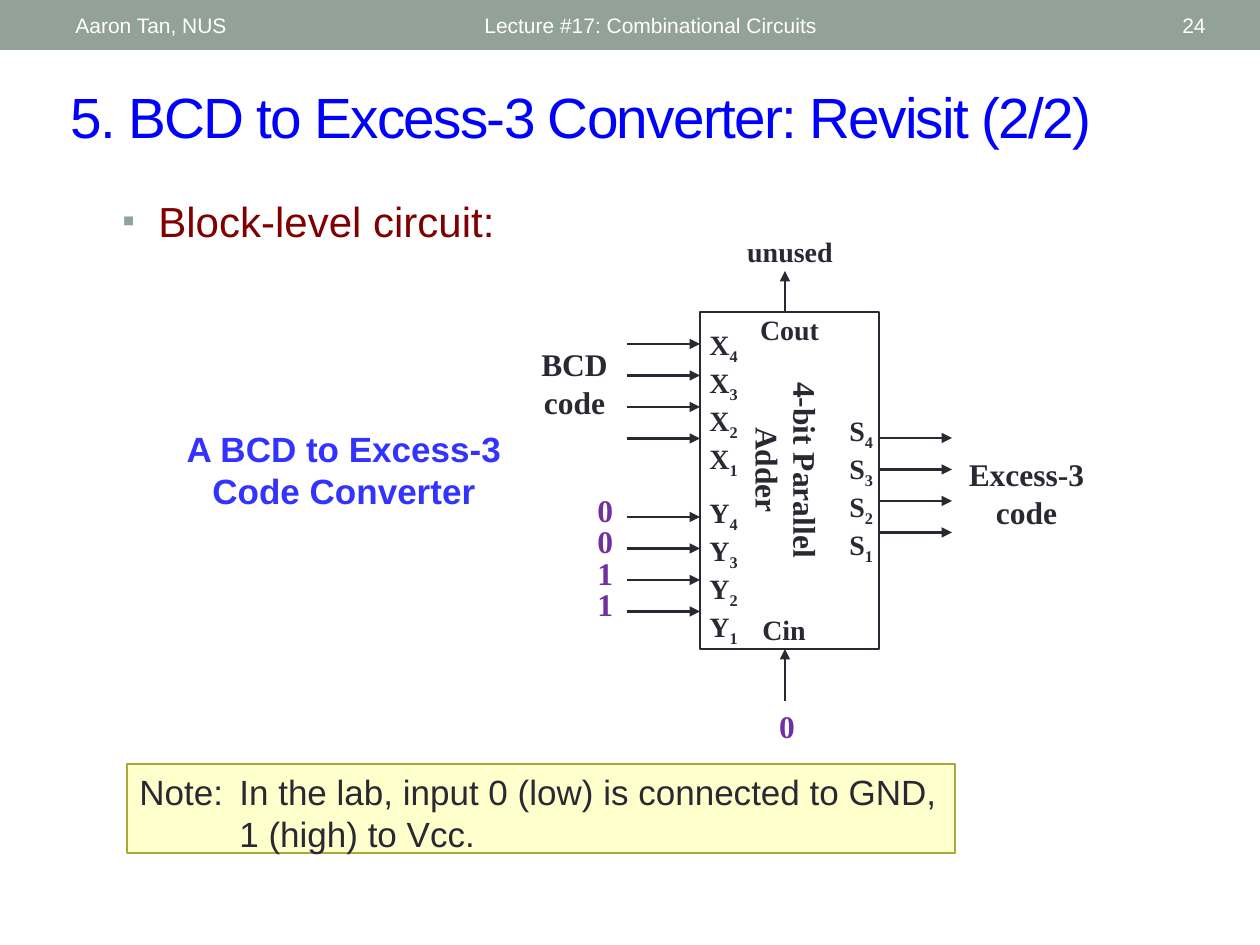
from dataclasses import dataclass

from lxml import etree
from pptx import Presentation
from pptx.dml.color import RGBColor
from pptx.enum.shapes import MSO_CONNECTOR, MSO_SHAPE
from pptx.enum.text import MSO_ANCHOR, PP_ALIGN
from pptx.oxml.ns import qn
from pptx.util import Emu, Pt

RECT = MSO_SHAPE.RECTANGLE
STRAIGHT = MSO_CONNECTOR.STRAIGHT
TOP, MIDDLE = MSO_ANCHOR.TOP, MSO_ANCHOR.MIDDLE
LEFT, CENTER, RIGHT = PP_ALIGN.LEFT, PP_ALIGN.CENTER, PP_ALIGN.RIGHT

EMU_PER_PX = 914400 / 126
SANS, SERIF = "Arial", "Times New Roman"
SAGE, WHITE, INK, PURPLE = "93A299", "FFFFFF", "292934", "7030A0"


@dataclass
class Label:
    x: int
    y: int
    w: int
    h: int
    lines: list[str]
    size: float
    color: str = INK
    font: str = SERIF
    bold: bool = True
    align: PP_ALIGN = CENTER
    anchor: MSO_ANCHOR = TOP
    rotation: int = 0
    hanging: int = 0
    bullet: str = ""
    tracking: int = 0
    leading: int = 0


@dataclass
class ArrowRow:
    x1: int
    x2: int
    y: int


def px(n: float) -> Emu:
    return Emu(round(n * EMU_PER_PX))


def rgb(color: str) -> RGBColor:
    return RGBColor.from_string(color)


def add_run(p, text: str, label: Label, baseline: int = 0) -> None:
    r = p.add_run()
    r.text = text
    values = {"name": label.font, "size": Pt(label.size), "bold": label.bold}
    for name, value in values.items():
        setattr(r.font, name, value)
    r.font.color.rgb = rgb(label.color)
    for name, value in {"baseline": baseline, "spc": label.tracking}.items():
        if value:
            r._r.get_or_add_rPr().set(name, str(value))


def add_bullet(pPr, char: str) -> None:
    color = etree.SubElement(pPr, qn("a:buClr"))
    etree.SubElement(color, qn("a:srgbClr"), val=SAGE)
    etree.SubElement(pPr, qn("a:buSzPct"), val="85000")
    etree.SubElement(pPr, qn("a:buFont"), typeface=SANS)
    etree.SubElement(pPr, qn("a:buChar"), char=char)


def write(s, label: Label) -> None:
    tf = s.text_frame
    for name, value in {"word_wrap": True, "vertical_anchor": label.anchor}.items():
        setattr(tf, name, value)
    for i, line in enumerate(label.lines):
        p = tf.add_paragraph() if i else tf.paragraphs[0]
        pPr = p._p.get_or_add_pPr()
        if label.hanging:
            pPr.set("marL", str(px(label.hanging)))
            pPr.set("indent", str(-px(label.hanging)))
        if label.bullet:
            add_bullet(pPr, label.bullet)
        p.alignment = label.align
        if label.leading:
            p.line_spacing = Pt(label.leading)
        base, _, subscript = line.partition("_")
        add_run(p, base, label)
        if subscript:
            add_run(p, subscript, label, -25000)


def add_label(shapes, label: Label) -> None:
    s = shapes.add_textbox(px(label.x), px(label.y), px(label.w), px(label.h))
    s.rotation = label.rotation
    write(s, label)


def add_box(shapes, x: int, y: int, w: int, h: int,
            fill: str = "", line: str = "", weight: float = 1):
    s = shapes.add_shape(RECT, px(x), px(y), px(w), px(h))
    s.shadow.inherit = False
    if fill:
        s.fill.solid()
        s.fill.fore_color.rgb = rgb(fill)
    else:
        s.fill.background()
    if line:
        s.line.color.rgb = rgb(line)
        s.line.width = Pt(weight)
    else:
        s.line.fill.background()
    return s


def add_arrow(shapes, x1: int, y1: float, x2: int, y2: float) -> None:
    s = shapes.add_connector(STRAIGHT, px(x1), px(y1), px(x2), px(y2))
    s.line.color.rgb = rgb(INK)
    s.line.width = Pt(1.25)
    etree.SubElement(s.line._get_or_add_ln(), qn("a:tailEnd"), type="triangle")
    etree.SubElement(s._element.spPr, qn("a:effectLst"))


def pins(letter: str) -> list[str]:
    return [f"{letter}_{n}" for n in range(4, 0, -1)]


HEADER = dict(size=12, color=WHITE, font=SANS, bold=False, anchor=MIDDLE)
LABELS = [
    Label(472, 3, 567, 45, ["Lecture #17: Combinational Circuits"], align=LEFT, **HEADER),
    Label(1099, 3, 119, 45, ["24"], align=RIGHT, **HEADER),
    Label(63, 3, 399, 45, ["Aaron Tan, NUS"], align=LEFT, **HEADER),
    Label(58, 72, 1160, 88, ["5. BCD to Excess-3 Converter: Revisit (2/2)"], 32.4, "0000FF",
          SANS, False, LEFT, MIDDLE, hanging=272, tracking=-100),
    Label(110, 189, 510, 84, ["Block-level circuit:"], 24, "800000", SANS, False, LEFT,
          hanging=36, bullet="▪"),
    Label(682, 426, 210, 88, ["4-bit Parallel Adder"], 18, rotation=90),
    Label(697, 321, 63, 147, pins("X"), 16, align=LEFT),
    Label(697, 489, 63, 147, pins("Y"), 16, align=LEFT),
    Label(837, 407, 63, 147, pins("S"), 16, align=LEFT),
    Label(585, 491, 42, 140, ["0", "0", "1", "1"], 18, PURPLE, align=LEFT, leading=18),
    Label(522, 339, 105, 88, ["BCD", "code"], 18),
    Label(953, 449, 147, 88, ["Excess-3", "code"], 18),
    Label(732, 228, 116, 47, ["unused"], 16),
    Label(760, 701, 54, 55, ["0"], 18, PURPLE),
    Label(742, 606, 84, 47, ["Cin"], 16),
    Label(742, 306, 95, 47, ["Cout"], 16),
    Label(160, 421, 368, 97, ["A BCD to Excess-3 Code Converter"], 20, "3333FF", SANS),
]
NOTE = Label(127, 764, 828, 89,
             ["Note:\tIn the lab, input 0 (low) is connected to GND, 1 (high) to Vcc."],
             20, font=SANS, bold=False, align=LEFT, hanging=100)
ARROW_ROWS = [ArrowRow(627, 700, 344), ArrowRow(627, 700, 517), ArrowRow(879, 952, 438)]
ROW_PITCH = 63 / 2
CARRY_X = 785


def main() -> None:
    prs = Presentation()
    prs.slide_width, prs.slide_height = px(1260), px(945)
    shapes = prs.slides.add_slide(prs.slide_layouts[6]).shapes

    add_box(shapes, 0, 0, 1260, 50, fill=SAGE)
    add_box(shapes, 700, 312, 179, 337, line=INK, weight=1.5)
    for row in ARROW_ROWS:
        for i in range(4):
            y = row.y + i * ROW_PITCH
            add_arrow(shapes, row.x1, y, row.x2, y)
    add_arrow(shapes, CARRY_X, 701, CARRY_X, 649)
    add_arrow(shapes, CARRY_X, 312, CARRY_X, 271)
    for label in LABELS:
        add_label(shapes, label)
    note = add_box(shapes, NOTE.x, NOTE.y, NOTE.w, NOTE.h, "FFFFCC", "ACA73B", 0.75)
    write(note, NOTE)
    prs.save("out.pptx")


if __name__ == "__main__":
    main()
